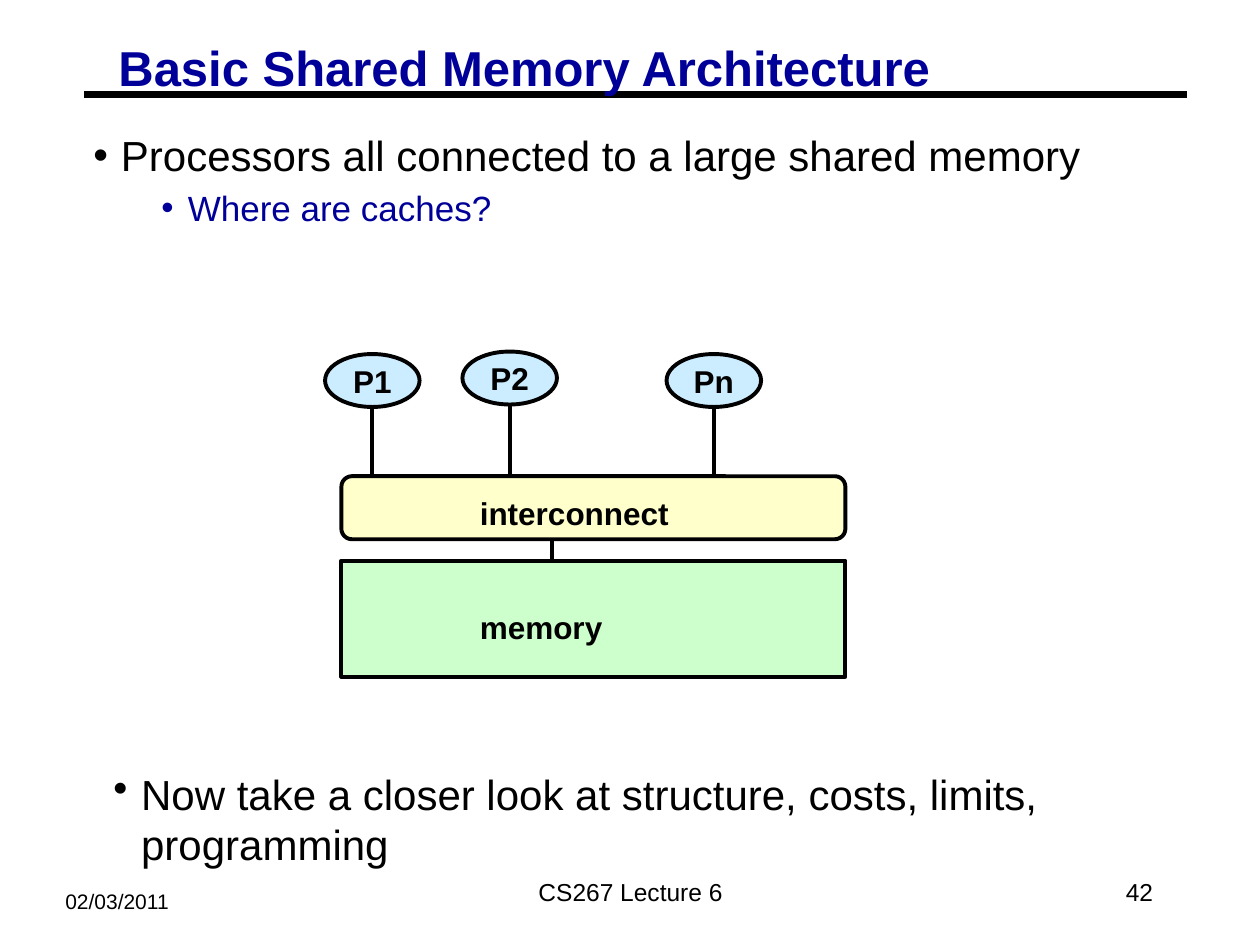
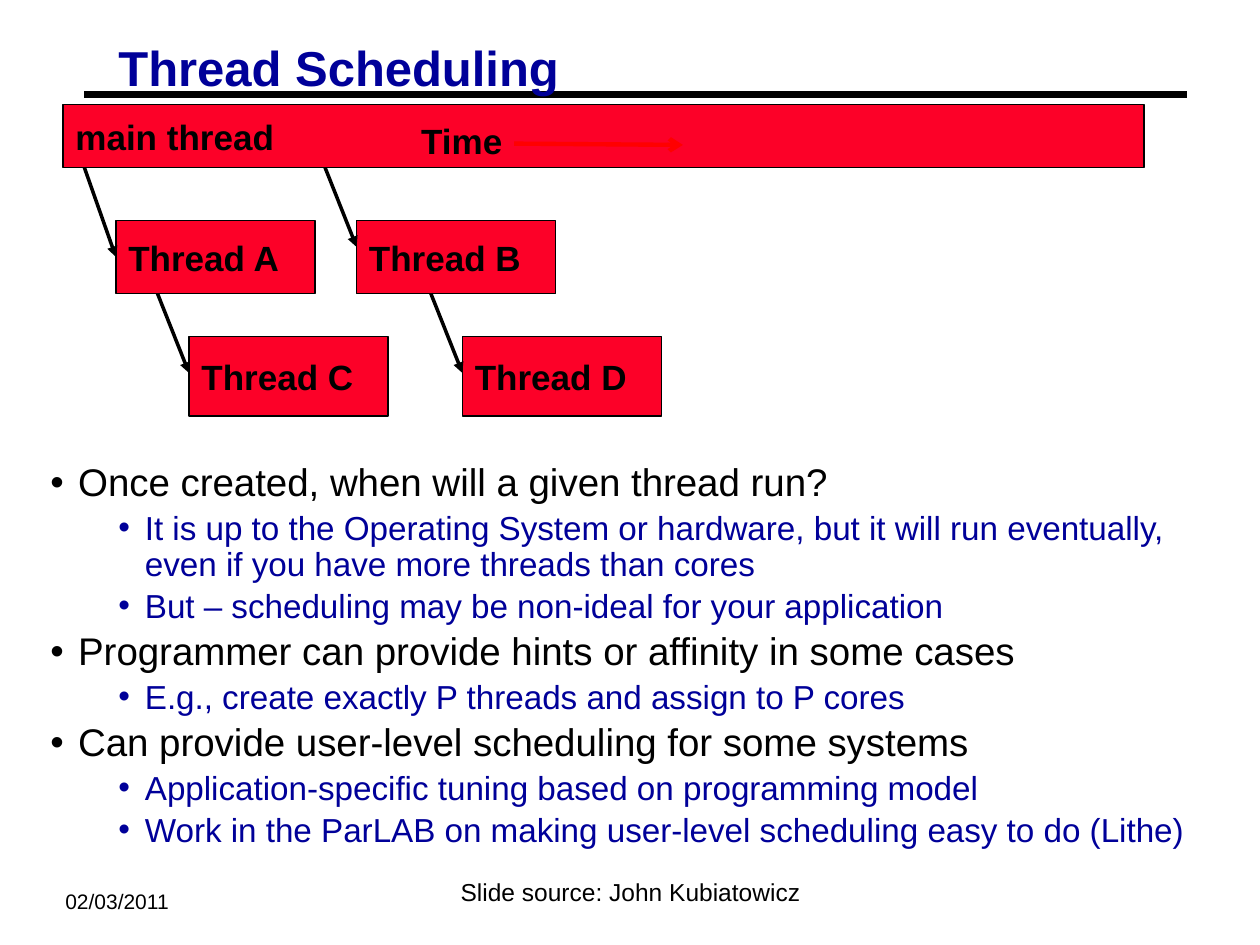
from dataclasses import dataclass

from lxml.etree import SubElement
from pptx import Presentation
from pptx.dml.color import RGBColor
from pptx.enum.shapes import MSO_CONNECTOR, MSO_SHAPE
from pptx.enum.text import MSO_ANCHOR, MSO_AUTO_SIZE, PP_ALIGN
from pptx.oxml.ns import qn
from pptx.util import Inches, Pt


@dataclass(frozen=True)
class Theme:
    font: str = "Arial"
    black: str = "000000"
    navy: str = "000099"
    red: str = "FC0128"
    arrow_red: str = "FF0000"
    sky: str = "CCECFF"
    cream: str = "FFFFCC"
    mint: str = "CCFFCC"
    title_size: int = 28
    thread_size: int = 20
    diagram_size: int = 18
    footer_size: int = 14
    date_size: int = 12
    diagram_line: float = 2.25


theme = Theme()


def write(shape, text, size, bold=True, color=theme.black, align=PP_ALIGN.LEFT,
          anchor=MSO_ANCHOR.MIDDLE, wrap=True):
    """Fill a shape with one uniformly formatted paragraph."""
    frame = shape.text_frame
    frame.auto_size = MSO_AUTO_SIZE.NONE
    frame.word_wrap = wrap
    frame.vertical_anchor = anchor
    paragraph = frame.paragraphs[0]
    paragraph.text = text
    paragraph.alignment = align
    paragraph.font.name = theme.font
    paragraph.font.size = Pt(size)
    paragraph.font.bold = bold
    paragraph.font.color.rgb = RGBColor.from_string(color)
    return paragraph


def connect(slide, start, end, width, color=theme.black, head=None):
    """Draw a straight line, with an arrowhead at its end if one is named."""
    line = slide.shapes.add_connector(
        MSO_CONNECTOR.STRAIGHT, *map(Inches, start), *map(Inches, end))
    line.line.width = Pt(width)
    line.line.color.rgb = RGBColor.from_string(color)
    properties = line._element.spPr
    if head:
        SubElement(properties.find(qn("a:ln")), qn("a:tailEnd"), type=head)
    SubElement(properties, qn("a:effectLst"))
    return line


prs = Presentation()
prs.slide_width, prs.slide_height = Inches(10), Inches(7.5)

# Shared title, rule, date and footer
slides = []
for heading, footer in [
    ("Basic Shared Memory Architecture", "CS267 Lecture 6"),
    ("Thread Scheduling", "Slide source: John Kubiatowicz"),
]:
    slide = prs.slides.add_slide(prs.slide_layouts[1])
    slides.append(slide)
    rule = connect(slide, (0.67, 0.75), (9.42, 0.75), 3.75)
    slide.shapes._spTree.insert(2, rule._element)

    title = slide.shapes.title
    title.left, title.top, title.width, title.height = map(Inches, (0.87, 0.33, 8.54, 0.46))
    title_line = write(title, heading, theme.title_size, color=theme.navy, anchor=MSO_ANCHOR.TOP)
    title_line.line_spacing = 0.87
    title.text_frame.margin_left = title.text_frame.margin_right = Inches(0.07)
    title.text_frame.margin_top = title.text_frame.margin_bottom = Inches(0.03)

    date = slide.shapes.add_textbox(*map(Inches, (0.42, 7, 1.92, 0.3)))
    write(date, "02/03/2011", theme.date_size, bold=False, anchor=MSO_ANCHOR.TOP)
    credit = slide.shapes.add_textbox(*map(Inches, (3.42, 6.83, 3.17, 0.5)))
    write(credit, footer, theme.footer_size, bold=False, align=PP_ALIGN.CENTER)

architecture, scheduling = slides
page_number = architecture.shapes.add_textbox(*map(Inches, (7.17, 6.83, 2.08, 0.5)))
write(page_number, "42", theme.footer_size, bold=False, align=PP_ALIGN.RIGHT)

# Bulleted lists: (level, text) items, one type size per level
closing = architecture.shapes.add_textbox(0, 0, 0, 0)
for holder, box, sizes, spacing, items in [
    (architecture.placeholders[1], (0.67, 1, 8.75, 0.84), (24, 20), 1.0, [
        (0, "Processors all connected to a large shared memory"),
        (1, "Where are caches?"),
    ]),
    (closing, (0.83, 6.07, 8.75, 0.86), (24, 20), 1.0, [
        (0, "Now take a closer look at structure, costs, limits, programming"),
    ]),
    (scheduling.placeholders[1], (0.33, 3.65, 9.5, 3.17), (22, 19), 0.9, [
        (0, "Once created, when will a given thread run?"),
        (1, "It is up to the Operating System or hardware, but it will run eventually, "
            "even if you have more threads than cores"),
        (1, "But – scheduling may be non-ideal for your application"),
        (0, "Programmer can provide hints or affinity in some cases"),
        (1, "E.g., create exactly P threads and assign to P cores"),
        (0, "Can provide user-level scheduling for some systems"),
        (1, "Application-specific tuning based on programming model"),
        (1, "Work in the ParLAB on making user-level scheduling easy to do (Lithe)"),
    ]),
]:
    holder.left, holder.top, holder.width, holder.height = map(Inches, box)
    frame = holder.text_frame
    frame.word_wrap = True
    frame.auto_size = MSO_AUTO_SIZE.NONE
    frame.margin_left = frame.margin_right = Inches(0.07)
    frame.margin_top = frame.margin_bottom = Inches(0.03)
    for index, (level, text) in enumerate(items):
        item = frame.add_paragraph() if index else frame.paragraphs[0]
        item.text = text
        item.level = level
        color = (theme.black, theme.navy)[level]
        properties = item._p.get_or_add_pPr()
        properties.set("marL", str(Inches((0.22, 0.75)[level])))
        properties.set("indent", str(-Inches((0.22, 0.21)[level])))
        SubElement(SubElement(properties, qn("a:buClr")), qn("a:srgbClr"), val=color)
        SubElement(properties, qn("a:buChar"), char="•")
        item.line_spacing = spacing
        item.space_before = Pt(sizes[level] * 0.1875 if index else 0)
        item.font.name = theme.font
        item.font.size = Pt(sizes[level])
        item.font.color.rgb = RGBColor.from_string(color)

# Shared memory diagram: processors, interconnect, memory
for name, left, top in [("P1", 2.58, 2.81), ("P2", 3.67, 2.79), ("Pn", 5.29, 2.81)]:
    processor = architecture.shapes.add_shape(
        MSO_SHAPE.OVAL, *map(Inches, (left, top, 0.75, 0.42)))
    processor.shadow.inherit = False
    processor.fill.solid()
    processor.fill.fore_color.rgb = RGBColor.from_string(theme.sky)
    processor.line.color.rgb = RGBColor.from_string(theme.black)
    processor.line.width = Pt(theme.diagram_line)
    write(processor, name, theme.diagram_size, align=PP_ALIGN.CENTER, wrap=False)
    center = left + 0.375
    connect(architecture, (center, top + 0.42), (center, top + 0.97), theme.diagram_line)

for name, outline, top, height, fill, label_top in [
    ("interconnect", MSO_SHAPE.ROUNDED_RECTANGLE, 3.78, 0.5, theme.cream, 3.87),
    ("memory", MSO_SHAPE.RECTANGLE, 4.45, 0.92, theme.mint, 4.78),
]:
    unit = architecture.shapes.add_shape(outline, *map(Inches, (2.71, top, 4, height)))
    unit.shadow.inherit = False
    unit.fill.solid()
    unit.fill.fore_color.rgb = RGBColor.from_string(fill)
    unit.line.color.rgb = RGBColor.from_string(theme.black)
    unit.line.width = Pt(theme.diagram_line)
    label = architecture.shapes.add_textbox(*map(Inches, (3.71, label_top, 2.17, 0.4)))
    write(label, name, theme.diagram_size, anchor=MSO_ANCHOR.TOP)
connect(architecture, (4.38, 4.28), (4.38, 4.45), theme.diagram_line)

# Thread timeline: each spawned thread hangs from its parent by an arrow
for name, left, top, width, height, spawn in [
    ("main thread", 0.5, 0.83, 8.58, 0.5, None),
    ("Thread A", 0.92, 1.75, 1.58, 0.58, (1.33, 2.04)),
    ("Thread B", 2.83, 1.75, 1.58, 0.58, (1.33, 1.96)),
    ("Thread C", 1.5, 2.67, 1.58, 0.63, (2.33, 2.96)),
    ("Thread D", 3.67, 2.67, 1.58, 0.63, (2.33, 2.96)),
]:
    thread = scheduling.shapes.add_shape(
        MSO_SHAPE.RECTANGLE, *map(Inches, (left, top, width, height)))
    thread.shadow.inherit = False
    thread.fill.solid()
    thread.fill.fore_color.rgb = RGBColor.from_string(theme.red)
    thread.line.color.rgb = RGBColor.from_string(theme.black)
    thread.line.width = Pt(1)
    write(thread, name, theme.thread_size)
    if spawn:
        connect(scheduling, (left - 0.25, spawn[0]), (left, spawn[1]), 2, head="triangle")

time_label = scheduling.shapes.add_textbox(*map(Inches, (3.08, 0.9, 1.17, 0.44)))
write(time_label, "Time", theme.thread_size, align=PP_ALIGN.CENTER, anchor=MSO_ANCHOR.TOP)
connect(scheduling, (4.08, 1.14), (5.42, 1.15), 2.5, color=theme.arrow_red, head="arrow")

prs.save("out.pptx")
